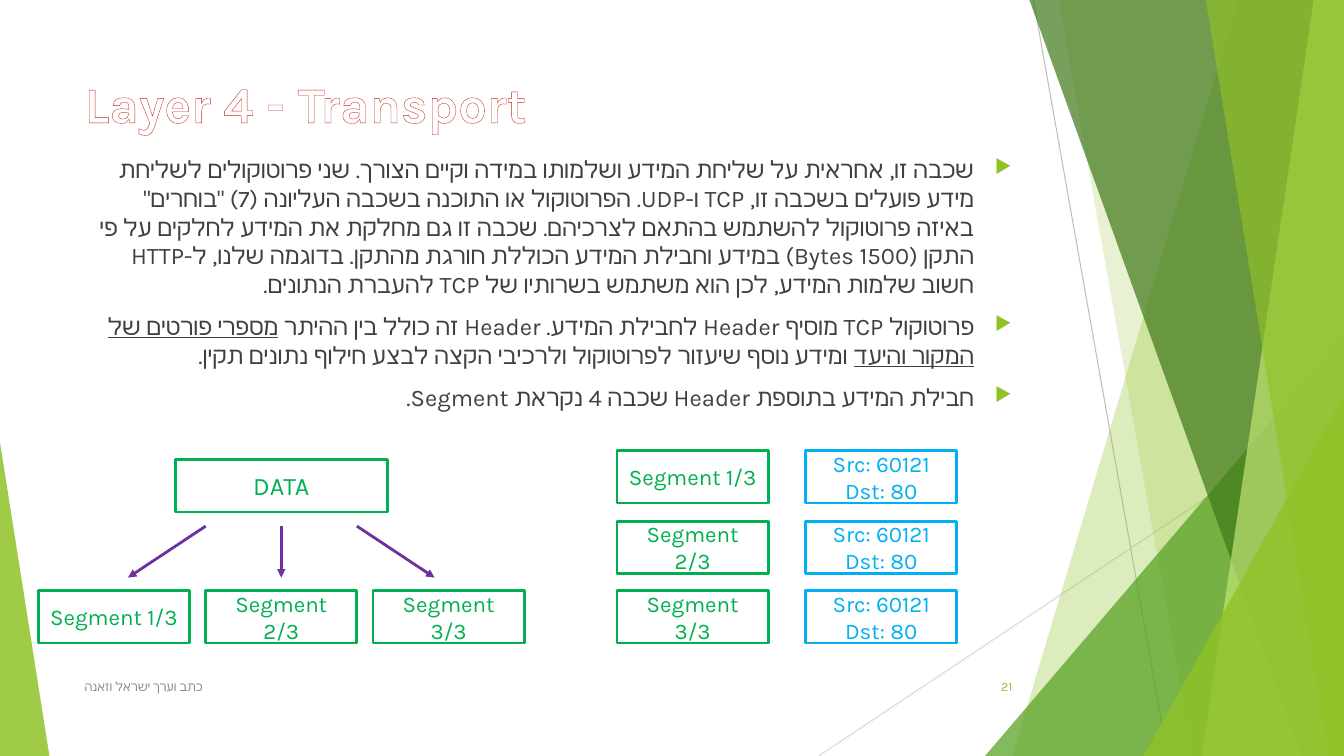
from lxml import etree
from pptx import Presentation
from pptx.dml.color import RGBColor
from pptx.enum.shapes import MSO_CONNECTOR, MSO_SHAPE
from pptx.enum.text import MSO_ANCHOR, PP_ALIGN
from pptx.oxml.ns import qn
from pptx.util import Pt

PX = 9144  # 100 px to the inch
FONT = "Karla"
LEFT, CENTER, RIGHT = PP_ALIGN.LEFT, PP_ALIGN.CENTER, PP_ALIGN.RIGHT
TOP, MIDDLE = MSO_ANCHOR.TOP, MSO_ANCHOR.MIDDLE
RECTANGLE, TRIANGLE = MSO_SHAPE.RECTANGLE, MSO_SHAPE.ISOSCELES_TRIANGLE
STRAIGHT = MSO_CONNECTOR.STRAIGHT
GREEN, BLUE, PURPLE, LIME = "00B050", "00B0F0", "7030A0", "90C226"
CELL_W, CELL_H = 150, 52

BULLETS = [
    ["שכבה זו, אחראית על שליחת המידע ושלמותו במידה וקיים הצורך. שני פרוטוקולים "
     "לשליחת מידע פועלים בשכבה זו, TCP ו-UDP. הפרוטוקול או התוכנה בשכבה העליונה (7) "
     "\"בוחרים\" באיזה פרוטוקול להשתמש בהתאם לצרכיהם. שכבה זו גם מחלקת את המידע "
     "לחלקים על פי התקן (1500 Bytes) במידע וחבילת המידע הכוללת חורגת מהתקן. "
     "בדוגמה שלנו, ל-HTTP חשוב שלמות המידע, לכן הוא משתמש בשרותיו של TCP "
     "להעברת הנתונים."],
    ["פרוטוקול TCP מוסיף Header לחבילת המידע. Header זה כולל בין ההיתר ",
     "מספרי פורטים של המקור והיעד",
     " ומידע נוסף שיעזור לפרוטוקול ולרכיבי הקצה לבצע חילוף נתונים תקין."],
    ["חבילת המידע בתוספת Header שכבה 4 נקראת Segment."],
]


def color(value):
    return RGBColor.from_string(value)


def child(parent, tag, **attributes):
    return etree.SubElement(parent, qn(tag), attributes)


def px(*lengths):
    return [length * PX for length in lengths]


def add_span(para, text, size=16, ink=GREEN, bold=False, underline=False, outline=None):
    span = para.add_run()
    span.text = text
    font = span.font
    font.size, font.name, font.bold, font.underline = Pt(size), FONT, bold, underline
    font.color.rgb = color(ink)
    properties = span._r.get_or_add_rPr()
    child(properties, "a:cs", typeface=FONT)
    if outline:
        line = etree.Element(qn("a:ln"), w=str(Pt(0.8)))
        child(child(line, "a:solidFill"), "a:srgbClr", val=outline)
        properties.insert(0, line)


def set_para(para, align, rtl):
    para.alignment = align
    if rtl:
        para._p.get_or_add_pPr().set("rtl", "1")


def add_text(page, box, text, align=LEFT, anchor=TOP, rtl=True, **style):
    frame = page.shapes.add_textbox(*px(*box)).text_frame
    frame.word_wrap, frame.vertical_anchor = True, anchor
    set_para(frame.paragraphs[0], align, rtl)
    if text:
        add_span(frame.paragraphs[0], text, **style)
    return frame


def fill_shape(shape, fill, alpha):
    shape.shadow.inherit = False
    shape.line.fill.background()
    shape.fill.solid()
    shape.fill.fore_color.rgb = color(fill)
    tint = shape._element.spPr.find(qn("a:solidFill"))[0]
    child(tint, "a:alpha", val=str(alpha * 1000))


def add_line(page, start, end, ink, width, arrow=False):
    line = page.shapes.add_connector(STRAIGHT, *px(*start, *end))
    line.line.color.rgb = color(ink)
    line.line.width = Pt(width)
    if arrow:
        child(line.line._get_or_add_ln(), "a:tailEnd", type="triangle")
    child(line._element.spPr, "a:effectLst")


def add_cell(page, box, text, ink=GREEN, size=16):
    cell = page.shapes.add_shape(RECTANGLE, *px(*box))
    cell.shadow.inherit = False
    cell.fill.solid()
    cell.fill.fore_color.rgb = color("FFFFFF")
    cell.line.color.rgb = color(ink)
    cell.line.width = Pt(2)
    frame = cell.text_frame
    frame.word_wrap, frame.vertical_anchor = True, MIDDLE
    set_para(frame.paragraphs[0], CENTER, False)
    add_span(frame.paragraphs[0], text, size=size, ink=ink)


def add_band(page, box, top_left, bottom_left, fill, alpha):
    """A band that reaches the right edge, with a slanting left side."""
    left, top, width, height = box
    right, bottom = left + width, top + height
    points = [(left + top_left, top), (right, top), (right, bottom), (left + bottom_left, bottom)]
    outline = page.shapes.build_freeform(*px(*points[0]), scale=1)
    outline.add_line_segments([px(*point) for point in points[1:]], close=True)
    fill_shape(outline.convert_to_shape(), fill, alpha)


def add_triangle(page, box, apex, fill, alpha):
    triangle = page.shapes.add_shape(TRIANGLE, *px(*box))
    triangle.adjustments[0] = apex
    fill_shape(triangle, fill, alpha)


def draw_backdrop(page, box):
    left, top, width, height = box
    right, bottom = left + width, top + height
    add_line(page, (left + 48, top), (left + 181, bottom), "BFBFBF", 0.75)
    add_line(page, (right, top + 403), (left - 165, bottom), "D9D9D9", 0.75)
    add_band(page, box, 251, 27, LIME, 30)
    add_band(page, box, 73, 206, LIME, 20)
    add_triangle(page, (left, top + 333, width, 417), 1, "54A021", 72)
    add_band(page, box, 44, 314, "3F7819", 70)
    add_band(page, box, 326, 215, "C0E474", 70)
    add_band(page, box, 219, 341, LIME, 65)
    add_triangle(page, (left + 157, top + 393, 199, 357), 1, LIME, 80)
    add_triangle(page, (0, top + 439, 49, 311), 0, LIME, 85)


def draw_bullets(page, box):
    frame = add_text(page, box, "", align=RIGHT)
    for index, spans in enumerate(BULLETS):
        para = frame.add_paragraph() if index else frame.paragraphs[0]
        set_para(para, RIGHT, True)
        para.space_before = Pt(10)
        properties = para._p.get_or_add_pPr()
        properties.set("marL", str(38 * PX))
        properties.set("indent", str(-38 * PX))
        child(child(properties, "a:buClr"), "a:srgbClr", val=LIME)
        child(properties, "a:buSzPct", val="80000")
        child(properties, "a:buChar", char="▶")
        for position, text in enumerate(spans):
            add_span(para, text, size=17, ink="404040", underline=position == 1)


def draw_split(page, box):
    """DATA above, three arrows, and the segments it is cut into."""
    left, top, width, height = box
    add_cell(page, (left + 136, top, 210, CELL_H), "DATA", size=18)
    for index in range(3):
        cell_left = left + index * (width - CELL_W) // 2
        add_cell(page, (cell_left, top + height - CELL_H, CELL_W, CELL_H), f"Segment {index + 1}/3")
    center = left + width // 2
    for start, end in [(-75, -152), (75, 152), (0, 0)]:
        add_line(page, (center + start, top + 66), (center + end, top + 117), PURPLE, 2, arrow=True)


def draw_headers(page, box):
    """Each segment beside the ports in its header."""
    left, top, width, height = box
    for index in range(3):
        row = top + (index * (height - CELL_H) + 1) // 2
        add_cell(page, (left, row, CELL_W, CELL_H), f"Segment {index + 1}/3")
        add_cell(page, (left + width - CELL_W, row, CELL_W, CELL_H), "Src: 60121 Dst: 80", ink=BLUE)


def main():
    deck = Presentation()
    deck.slide_width, deck.slide_height = px(1333, 750)
    page = deck.slides.add_slide(deck.slide_layouts[6])
    draw_backdrop(page, (977, 0, 356, 750))
    add_text(page, (74, 67, 940, 144), "Layer 4 - Transport", size=36, ink="FFFFFF",
             bold=True, outline="C42F1A")
    draw_bullets(page, (74, 149, 940, 424))
    add_text(page, (74, 661, 689, 40), "כתב וערך ישראל וזאנה", anchor=MIDDLE, size=9, ink="8C8C8C")
    add_text(page, (939, 661, 75, 40), "21", align=RIGHT, anchor=MIDDLE, size=9, ink=LIME)
    draw_split(page, (38, 456, 482, 182))
    draw_headers(page, (612, 447, 337, 191))
    deck.save("out.pptx")


if __name__ == "__main__":
    main()
